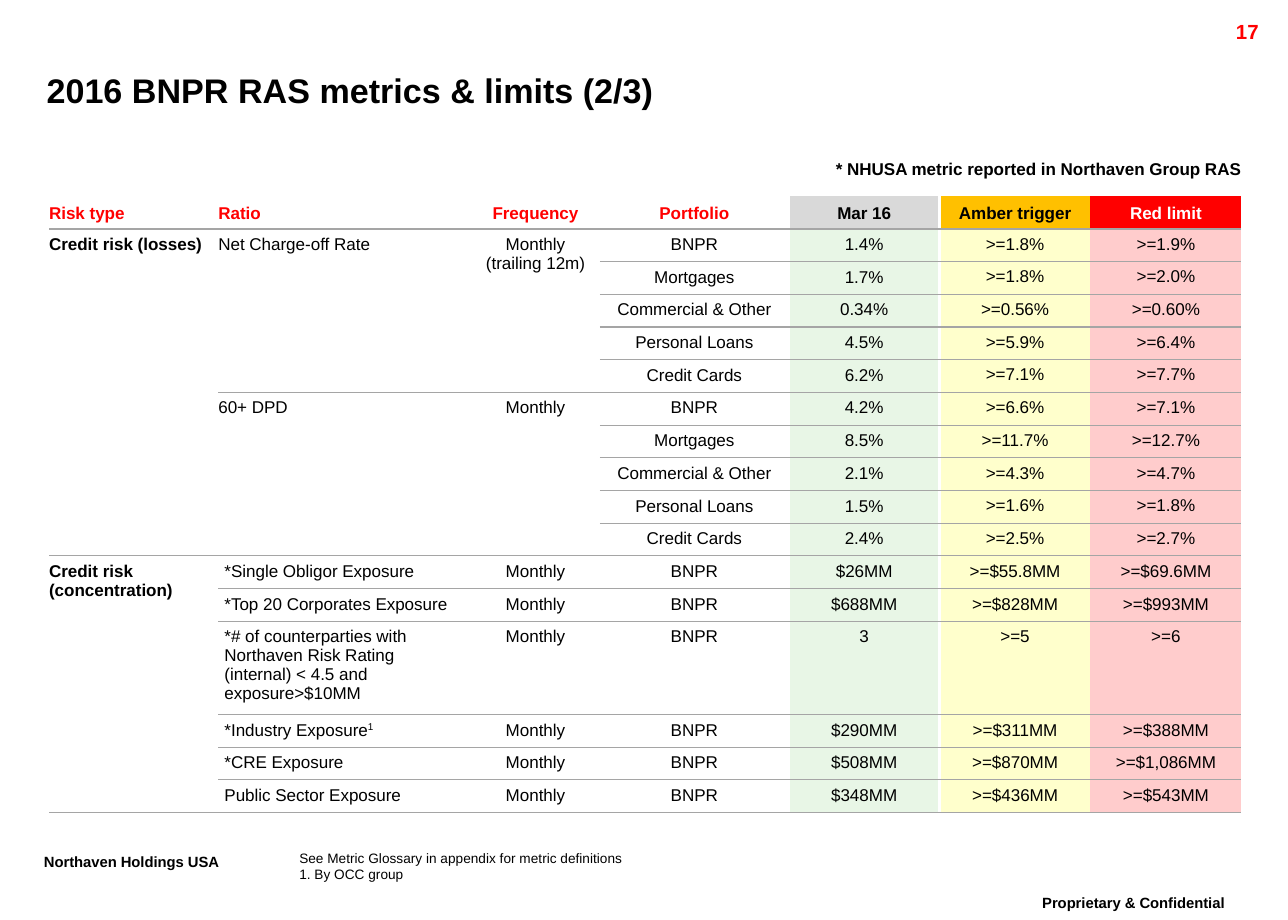
"""Build the slide of risk appetite metrics and limits."""
from lxml.etree import SubElement
from pptx import Presentation
from pptx.dml.color import RGBColor
from pptx.enum.text import MSO_ANCHOR, PP_ALIGN
from pptx.oxml.ns import qn
from pptx.util import Inches, Pt

TITLE = "2016 BNPR RAS metrics & limits (2/3)"
HEADS = ["Risk type", "Ratio", "Frequency", "Portfolio", "Mar 16", "Amber trigger", "Red limit"]
LOSSES = [
    ("Net Charge-off Rate", "Monthly\n(trailing 12m)", [
        ("BNPR", "1.4%", ">=1.8%", ">=1.9%"),
        ("Mortgages", "1.7%", ">=1.8%", ">=2.0%"),
        ("Commercial & Other", "0.34%", ">=0.56%", ">=0.60%"),
        ("Personal Loans", "4.5%", ">=5.9%", ">=6.4%"),
        ("Credit Cards", "6.2%", ">=7.1%", ">=7.7%")]),
    ("60+ DPD", "Monthly", [
        ("BNPR", "4.2%", ">=6.6%", ">=7.1%"),
        ("Mortgages", "8.5%", ">=11.7%", ">=12.7%"),
        ("Commercial & Other", "2.1%", ">=4.3%", ">=4.7%"),
        ("Personal Loans", "1.5%", ">=1.6%", ">=1.8%"),
        ("Credit Cards", "2.4%", ">=2.5%", ">=2.7%")]),
]
LONG = "*# of counterparties with Northaven Risk Rating (internal) < 4.5 and exposure>$10MM"
NOTED = "*Industry Exposure"
LIMITS = [
    ("*Single Obligor Exposure", "$26MM", ">=$55.8MM", ">=$69.6MM"),
    ("*Top 20 Corporates Exposure", "$688MM", ">=$828MM", ">=$993MM"),
    (LONG, "3", ">=5", ">=6"),
    (NOTED, "$290MM", ">=$311MM", ">=$388MM"),
    ("*CRE Exposure", "$508MM", ">=$870MM", ">=$1,086MM"),
    ("Public Sector Exposure", "$348MM", ">=$436MM", ">=$543MM"),
]
GROUPS = LOSSES + [(name, "Monthly", [("BNPR", *vals)]) for name, *vals in LIMITS]
TYPES = {1: "Credit risk (losses)", 11: "Credit risk (concentration)"}
WIDTHS = [1.38, 2.06, 1.05, 1.54, 1.23, 1.23, 1.23]
HIGH, TALL = 5.03, 0.76

COLORS = {"black": "000000", "white": "FFFFFF", "red": "FF0000", "rule": "A5A5A5",
          "gray": "D9D9D9", "amber": "FFC000", "green": "E8F6E6", "cream": "FFFFCC",
          "pink": "FFCCCC"}
TOPS = {4: "gray", 5: "amber", 6: "red"}
TINTS = {4: "green", 5: "cream", 6: "pink"}
INKS = {4: "black", 5: "black", 6: "white"}
CENTER, LEFT, RIGHT = PP_ALIGN.CENTER, PP_ALIGN.LEFT, PP_ALIGN.RIGHT

NOTES = [
    ((8.15, 7.25, 2.18, 0.35), "Proprietary & Confidential", 15, True, "black", CENTER, 0.86, 30),
    ((0.26, 6.91, 1.91, 0.35), "Northaven Holdings USA", 15, True, "black", LEFT, 0.86, 30),
    ((9.36, 0.11, 1, 0.24), "17", 12, True, "red", RIGHT, None, 0),
    ((2.44, 6.93, 5.47, 0.27),
     "See Metric Glossary in appendix for metric definitions\n1. By OCC group",
     8, False, "black", LEFT, None, 0),
    ((6.5, 1.27, 3.93, 0.25), "* NHUSA metric reported in Northaven Group RAS",
     10, True, "black", CENTER, 0.86, 0),
]


def color(name):
    return RGBColor.from_string(COLORS[name])


def add_run(para, text, size, bold, ink, base=0):
    run = para.add_run()
    run.text = text
    font = run.font
    font.name, font.size, font.bold = "Arial", Pt(size), bold
    font.color.rgb = color(ink)
    if base:
        run._r.get_or_add_rPr().set("baseline", str(base * 1000))


def write(frame, text, size, bold, ink, align, space=None, base=0):
    for i, line in enumerate(text.split("\n")):
        para = frame.add_paragraph() if i else frame.paragraphs[0]
        para.alignment = align
        para.line_spacing = space
        add_run(para, line, size, bold, ink, base)


def pad(box, left, top, right, low):
    box.margin_left, box.margin_top = Inches(left), Inches(top)
    box.margin_right, box.margin_bottom = Inches(right), Inches(low)


def place(shape, box):
    shape.left, shape.top, shape.width, shape.height = map(Inches, box)


def edge(cell, side, name, width):
    line = SubElement(cell._tc.get_or_add_tcPr(), qn("a:ln" + side), w=str(Pt(width)))
    fill = SubElement(line, qn("a:solidFill"))
    SubElement(fill, qn("a:srgbClr"), val=COLORS[name])


def table_rows():
    texts, starts = {}, [{0, 1, 11}, {0}, {0}]
    texts.update({(0, col): head for col, head in enumerate(HEADS)})
    texts.update({(row, 0): name for row, name in TYPES.items()})
    row = 1
    for ratio, often, lines in GROUPS:
        texts[row, 1], texts[row, 2] = ratio, often
        starts[1].add(row)
        starts[2].add(row)
        for line in lines:
            texts.update({(row, col): val for col, val in enumerate(line, 3)})
            row += 1
    return texts, [found | {row} for found in starts] + [set(range(row + 1))] * 4, row


def style(cell, row, col, text):
    limit = col > 4 and 0 < row < 11
    flush = col == 0 or col == 1 and row < 11
    if limit:
        pad(cell, 0, 0, 0, 0)
    else:
        pad(cell, 0 if flush else 0.05, 0.05, 0.05, 0.05)
    cell.vertical_anchor = (MSO_ANCHOR.BOTTOM if row == 0 else
                            MSO_ANCHOR.MIDDLE if limit else MSO_ANCHOR.TOP)
    ink = "black" if row else INKS.get(col, "red")
    space = 0.86 if limit or row == 0 else None
    write(cell.text_frame, text, 10, row == 0 or col == 0, ink,
          LEFT if col < 2 else CENTER, space)
    if text == NOTED:
        add_run(cell.text_frame.paragraphs[0], "1", 10, False, ink, 30)


def add_grid(slide):
    texts, starts, count = table_rows()
    grid = slide.shapes.add_table(count, len(HEADS), Inches(0.4), Inches(1.6),
                                  Inches(sum(WIDTHS)), Inches(HIGH)).table
    grid.first_row = grid.horz_banding = False
    grid._tbl.tblPr.find(qn("a:tableStyleId")).text = "{2D5ABB26-0587-4C30-8999-92F81FD0307C}"
    for col, width in enumerate(WIDTHS):
        grid.columns[col].width = Inches(width)
    for row in range(count):
        tall = texts.get((row, 1)) == LONG
        grid.rows[row].height = Inches(TALL if tall else (HIGH - TALL) / (count - 1))
        for col in range(len(HEADS)):
            cell = grid.cell(row, col)
            first = row in starts[col]
            if first:
                style(cell, row, col, texts[row, col])
            if col == 4:
                edge(cell, "L", "white", 1.5)
            if col == 3:
                edge(cell, "R", "white", 1.5)
            if first:
                edge(cell, "T", "rule", 0.75)if row else None
            if first or row + 1 in starts[col]:
                edge(cell, "B", "rule", 0.75)
            tint = (TINTS if row else TOPS).get(col)
            if tint:
                cell.fill.solid()
                cell.fill.fore_color.rgb = color(tint)
            else:
                cell.fill.background()
    for col, found in enumerate(starts):
        marks = sorted(found)
        for top, after in zip(marks, marks[1:]):
            if after - top > 1:
                grid.cell(top, col).merge(grid.cell(after - 1, col))


def main():
    deck = Presentation()
    deck.slide_width, deck.slide_height = Inches(10.5), Inches(7.5)
    slide = deck.slides.add_slide(deck.slide_layouts[5])
    title = slide.shapes.title
    place(title, (0.38, 0.49, 9.48, 0.48))
    pad(title.text_frame, 0, 0, 0, 0)
    title.text_frame.vertical_anchor = MSO_ANCHOR.MIDDLE
    write(title.text_frame, TITLE, 20, True, "black", LEFT)
    add_grid(slide)
    for box, text, size, *look in NOTES:
        frame = slide.shapes.add_textbox(*map(Inches, box)).text_frame
        frame.word_wrap = True
        if size == 8:
            pad(frame, 0, 0, 0, 0)
        write(frame, text, size, *look)
    deck.save("out.pptx")


if __name__ == "__main__":
    main()
